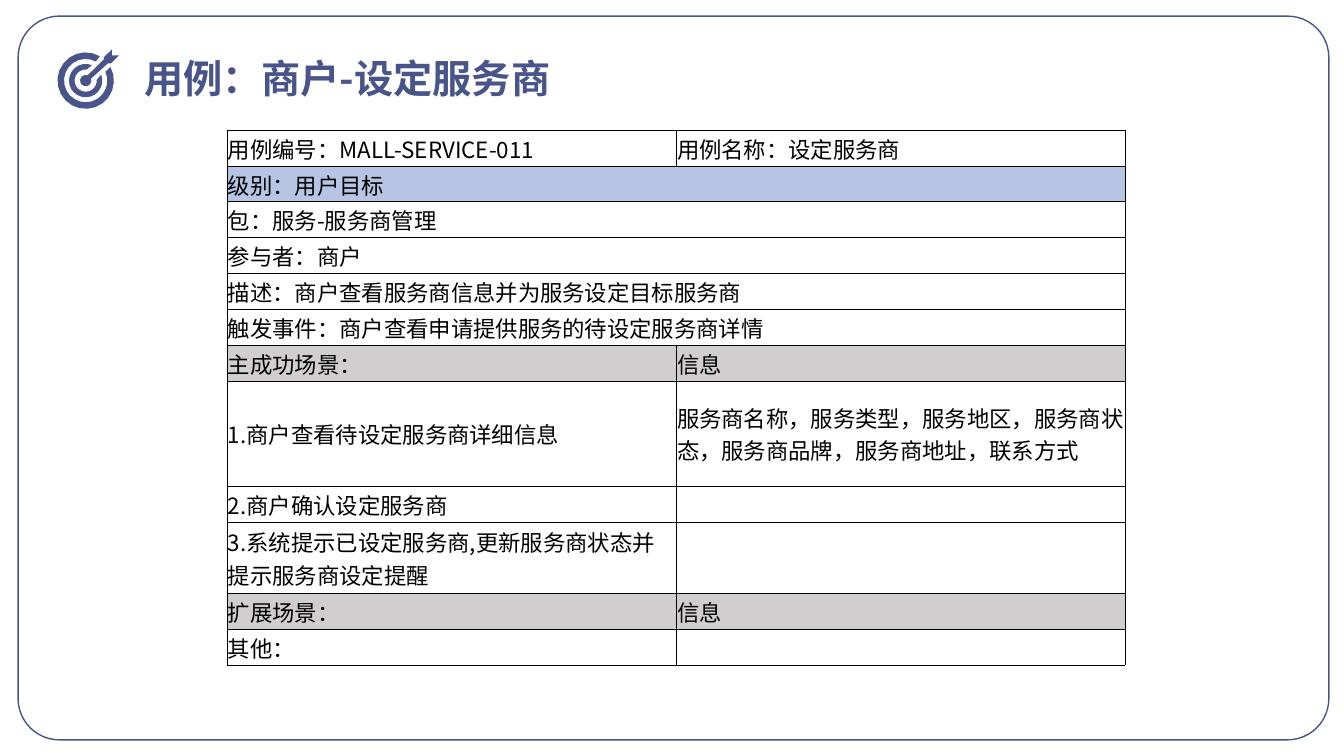
from math import cos, radians, sin

from lxml.etree import SubElement
from pptx import Presentation
from pptx.dml.color import RGBColor
from pptx.enum.shapes import MSO_SHAPE
from pptx.enum.text import MSO_ANCHOR, PP_ALIGN
from pptx.oxml.ns import qn
from pptx.util import Inches, Pt

FONT = "Noto Sans CJK SC"
INDIGO, BLACK, WHITE = "49558A", "000000", "FFFFFF"
LEVEL_BLUE, HEADING_GREY = "B7C5E4", "D0CECE"
TARGET_X, TARGET_Y = 850, 800  # thousandths of an inch


def rgb(color):
    return RGBColor.from_string(color)


def arc(radius, start, end, steps=20):
    """Points around the target's centre; angles in degrees, clockwise."""
    angles = [radians(start + (end - start) * i / steps) for i in range(steps + 1)]
    return [(TARGET_X + radius * cos(a), TARGET_Y + radius * sin(a)) for a in angles]


presentation = Presentation()
presentation.slide_width = Inches(13.33)
presentation.slide_height = Inches(7.5)
slide = presentation.slides.add_slide(presentation.slide_layouts[5])
shapes = slide.shapes

# Rounded frame, behind the title
frame = shapes.add_shape(MSO_SHAPE.ROUNDED_RECTANGLE,
                         Inches(0.18), Inches(0.16), Inches(13), Inches(7.18))
frame.adjustments[0] = 0.057
frame.shadow.inherit = False
frame.fill.solid()
frame.fill.fore_color.rgb = rgb(WHITE)
frame.line.color.rgb = rgb(INDIGO)
frame.line.width = Pt(1)
shapes.title._element.addprevious(frame._element)

# Title
title = shapes.title
title.left, title.top = Inches(1.33), Inches(0.49)
title.width, title.height = Inches(4.26), Inches(0.57)
title.text_frame.text = "用例：商户-设定服务商"
title.text_frame.word_wrap = True
title.text_frame.vertical_anchor = MSO_ANCHOR.TOP
paragraph = title.text_frame.paragraphs[0]
paragraph.alignment = PP_ALIGN.LEFT
paragraph.font.name = FONT
paragraph.font.size = Pt(28)
paragraph.font.bold = True
paragraph.font.color.rgb = rgb(INDIGO)

# Target icon: two open rings, and an arrow ending in the hub
outer_ring = arc(280, -29, -60 + 360) + arc(215, -62 + 360, -24)
inner_ring = arc(165, -21, -68 + 360) + arc(110, -85 + 360, -5)
arrow = [(1030, 590), (1030, 570), (1110, 490), (1110, 550),
         (1180, 550), (1100, 630), (1070, 630)] + arc(55, -20, 290)
builder = shapes.build_freeform(*outer_ring[0], scale=Inches(1) / 1000)
builder.add_line_segments(outer_ring[1:])
for outline in (inner_ring, arrow):
    builder.move_to(*outline[0])
    builder.add_line_segments(outline[1:])
target = builder.convert_to_shape()
target.shadow.inherit = False
target.fill.solid()
target.fill.fore_color.rgb = rgb(INDIGO)
target.line.fill.background()

# Use case table: texts, fill and height of each row; one text spans both columns
ROW = 0.356
use_case_rows = [
    (["用例编号：MALL-SERVICE-011", "用例名称：设定服务商"], None, ROW),
    (["级别：用户目标"], LEVEL_BLUE, ROW),
    (["包：服务-服务商管理"], None, ROW),
    (["参与者：商户"], None, ROW),
    (["描述：商户查看服务商信息并为服务设定目标服务商"], None, ROW),
    (["触发事件：商户查看申请提供服务的待设定服务商详情"], None, ROW),
    (["主成功场景：", "信息"], HEADING_GREY, ROW),
    (["1.商户查看待设定服务商详细信息",
      "服务商名称，服务类型，服务地区，服务商状态，服务商品牌，服务商地址，联系方式"], None, 1.04),
    (["2.商户确认设定服务商", ""], None, ROW),
    (["3.系统提示已设定服务商,更新服务商状态并提示服务商设定提醒", ""], None, 0.71),
    (["扩展场景：", "信息"], HEADING_GREY, ROW),
    (["其他：", ""], None, ROW),
]
table = shapes.add_table(len(use_case_rows), 2, Inches(2.25), Inches(1.29),
                         Inches(8.91), Inches(5.32)).table
for column in table.columns:
    column.width = Inches(8.91 / 2)
for row_index, (texts, fill, height) in enumerate(use_case_rows):
    table.rows[row_index].height = Inches(height)
    if len(texts) == 1:
        table.cell(row_index, 0).merge(table.cell(row_index, 1))
    for column_index in range(2):
        cell = table.cell(row_index, column_index)
        cell.margin_left = cell.margin_top = cell.margin_right = Inches(0.01)
        cell.margin_bottom = 0
        cell.vertical_anchor = MSO_ANCHOR.MIDDLE
        for side in ("lnL", "lnR", "lnT", "lnB"):
            border = SubElement(cell._tc.tcPr, qn(f"a:{side}"), w=str(Pt(0.5)))
            border_fill = SubElement(border, qn("a:solidFill"))
            SubElement(border_fill, qn("a:srgbClr"), val=BLACK)
        if fill:
            cell.fill.solid()
            cell.fill.fore_color.rgb = rgb(fill)
        else:
            cell.fill.background()
        if column_index < len(texts):
            cell.text = texts[column_index]
        paragraph = cell.text_frame.paragraphs[0]
        paragraph.font.name = FONT
        paragraph.font.size = Pt(16)
        paragraph.font.bold = False
        paragraph.font.color.rgb = rgb(BLACK)

presentation.save("out.pptx")
